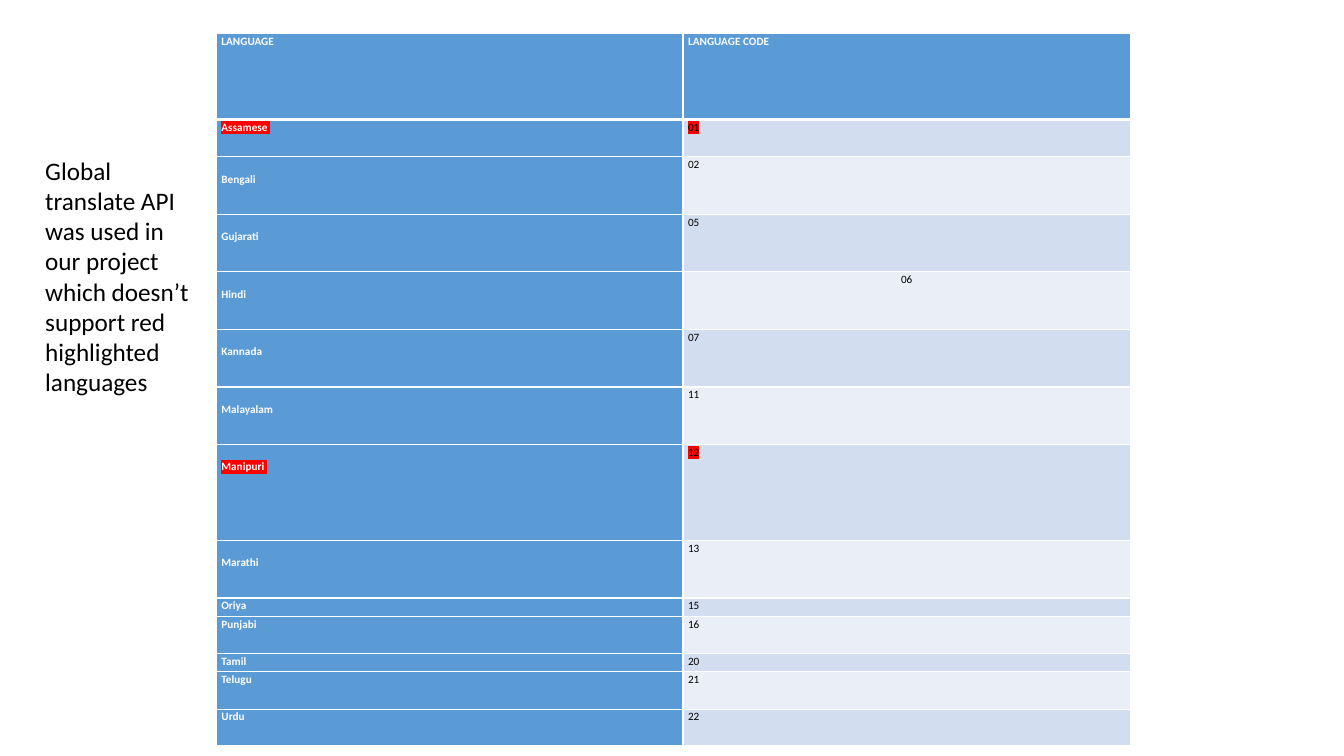
import pptx
import pptx.dml.color
import pptx.enum.text
import pptx.oxml
import pptx.oxml.ns
import pptx.util
from pptx.util import Cm, Pt

ALIGN = pptx.enum.text.PP_ALIGN
BLUE, WHITE, BLACK, RED = "5B9BD5", "FFFFFF", "000000", "FF0000"
BANDS = ("D2DEEF", "EAEFF7")
ONE_LINE, SHORT, TALL = 0.46, 0.94, 1.45

# language, code, row height in cm, space above the name in cm
LANGUAGES = [
    ("Assamese ", "01", SHORT, 0),
    ("Bengali", "02", TALL, 0.37),
    ("Gujarati", "05", TALL, 0.37),
    ("Hindi", "06", TALL, 0.37),
    ("Kannada", "07", TALL, 0.37),
    ("Malayalam", "11", TALL, 0.37),
    ("Manipuri ", "12", 2.42, 0.37),
    ("Marathi", "13", TALL, 0.37),
    ("Oriya", "15", ONE_LINE, 0),
    ("Punjabi", "16", SHORT, 0),
    ("Tamil", "20", ONE_LINE, 0),
    ("Telugu", "21", SHORT, 0),
    ("Urdu", "22", 0.92, 0),
]
UNSUPPORTED = {"01", "12"}
CENTRED = {"06"}


def rgb(colour):
    return pptx.dml.color.RGBColor.from_string(colour)


def xml(tag, content, attrs=""):
    """Return a DrawingML element built from its tag, content and attributes."""
    ns = pptx.oxml.ns.nsdecls("a")
    return pptx.oxml.parse_xml(f"<a:{tag} {ns} {attrs}>{content}</a:{tag}>")


def write(tf, text, size, colour=BLACK, bold=False, highlight=None,
          align=ALIGN.LEFT, line=None, after=None):
    p = tf.paragraphs[0]
    p.alignment = align
    if line:
        p.line_spacing = line
    if after:
        p.space_after = Pt(after)
    r = p.add_run()
    r.text = text
    r.font.size, r.font.bold = Pt(size), bold
    r.font.color.rgb = rgb(colour)
    if highlight:
        r.font._element.append(xml("highlight", f'<a:srgbClr val="{highlight}"/>'))
    r.font.name = "Calibri"


class Slide:
    def __init__(self, prs):
        self.s = prs.slides.add_slide(prs.slide_layouts[6])

    def text(self, left, top, width, height, text, **fmt):
        tf = self.s.shapes.add_textbox(Cm(left), Cm(top), Cm(width), Cm(height)).text_frame
        tf.word_wrap = True
        write(tf, text, **fmt)

    def table(self, left, top, widths, heights):
        frame = self.s.shapes.add_table(len(heights), len(widths), Cm(left), Cm(top),
                                        Cm(sum(widths)), Cm(sum(heights)))
        table = frame.table
        table.horz_banding = False
        for column, width in zip(table.columns, widths):
            column.width = Cm(width)
        for row, height in zip(table.rows, heights):
            row.height = Cm(height)
        return table

    def cell(self, cell, text, fill, space=0, top_line=1, bottom_line=1, **fmt):
        cell.margin_left = cell.margin_right = Cm(0.13)
        cell.margin_top, cell.margin_bottom = Cm(space), 0
        tc_pr = cell._tc.get_or_add_tcPr()
        for side, width in zip("LRTB", (1, 1, top_line, bottom_line)):
            line = f'<a:solidFill><a:srgbClr val="{WHITE}"/></a:solidFill>'
            tc_pr.append(xml(f"ln{side}", line, f'w="{Pt(width)}"'))
        cell.fill.solid()
        cell.fill.fore_color.rgb = rgb(fill)
        write(cell.text_frame, text, size=8, line=1.07, after=8, **fmt)


def main():
    prs = pptx.Presentation()
    prs.slide_width, prs.slide_height = Cm(33.87), Cm(19.05)
    slide = Slide(prs)

    heights = [2.16] + [height for _, _, height, _ in LANGUAGES]
    table = slide.table(5.45, 0.85, (11.76, 11.28), heights)
    for col, heading in enumerate(("LANGUAGE", "LANGUAGE CODE")):
        slide.cell(table.cell(0, col), heading, BLUE, bottom_line=3,
                   colour=WHITE, bold=True)
    for row, (name, code, _, space) in enumerate(LANGUAGES, 1):
        top_line = 3 if row == 1 else 1
        mark = RED if code in UNSUPPORTED else None
        slide.cell(table.cell(row, 0), name, BLUE, space, top_line,
                   colour=WHITE, bold=True, highlight=mark)
        slide.cell(table.cell(row, 1), code, BANDS[(row - 1) % 2], 0, top_line,
                   highlight=mark,
                   align=ALIGN.CENTER if code in CENTRED else ALIGN.LEFT)

    slide.text(0.89, 3.78, 4.17, 6.4,
               "Global translate API was used in our project which doesn’t "
               "support red highlighted languages", size=18)
    prs.save("out.pptx")


if __name__ == "__main__":
    main()
